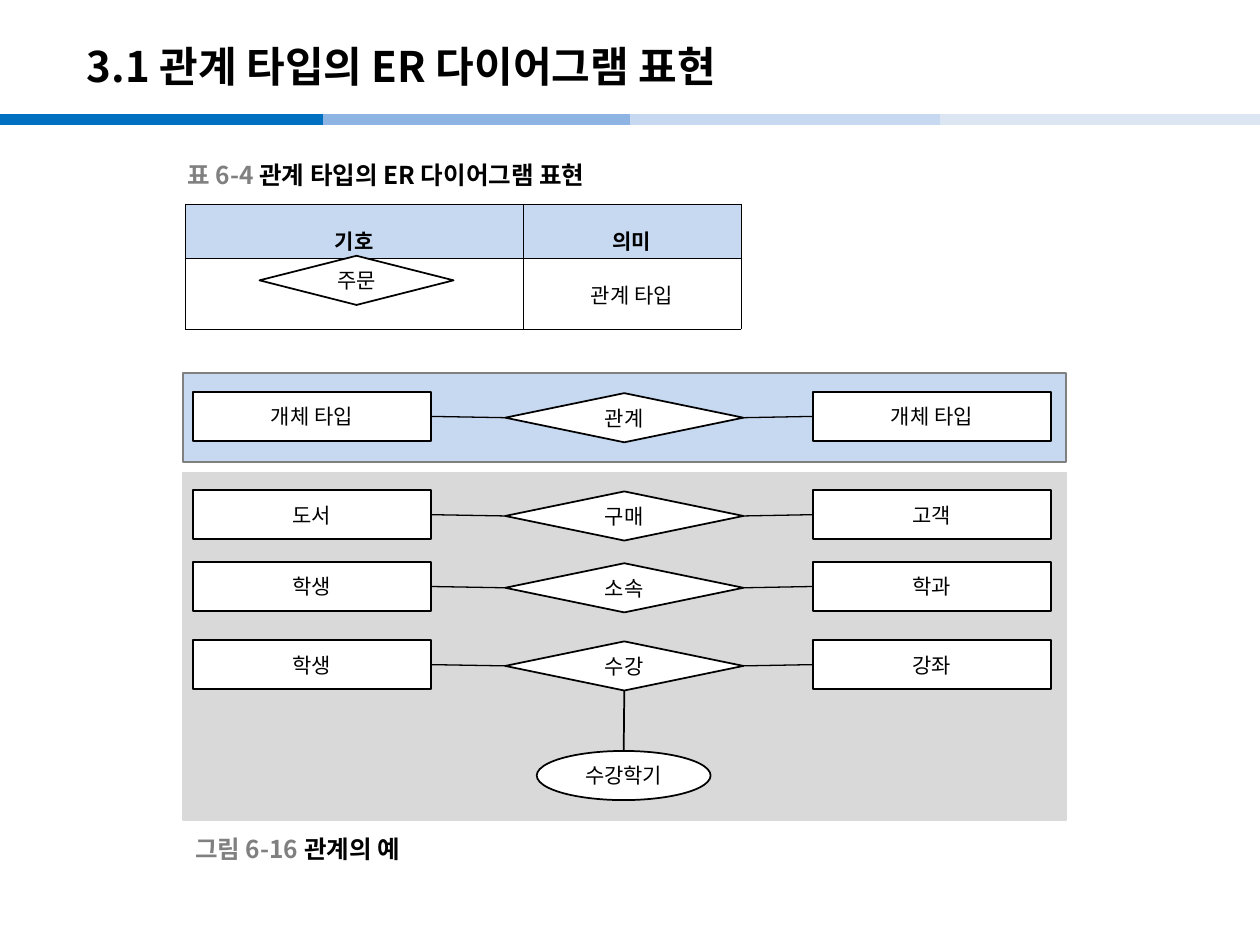
import itertools
import pptx
import pptx.util
import pptx.dml.color
import pptx.enum.shapes
import pptx.enum.text
import pptx.oxml.ns
from lxml import etree

Inches = pptx.util.Inches
Pt = pptx.util.Pt
KIND = pptx.enum.shapes.MSO_SHAPE
ALIGN = pptx.enum.text.PP_ALIGN
MIDDLE = pptx.enum.text.MSO_ANCHOR.MIDDLE
FACE = "Noto Sans CJK KR"
SIDE, HIGH = 1.89, 0.39


def color(code):
    """Turn a hex string into a colour."""
    return pptx.dml.color.RGBColor.from_string(code)


def child(parent, tag, **attrs):
    """Append a drawing element to its parent."""
    return etree.SubElement(parent, pptx.oxml.ns.qn(tag), **attrs)


def style(para, size, bold=False, align=ALIGN.LEFT, face=FACE):
    """Set the font and alignment of a paragraph."""
    para.alignment = align
    font = para.font
    font.size, font.bold, font.name = Pt(size), bold, face
    font.color.rgb = color("000000")
    child(para._p.pPr.find(pptx.oxml.ns.qn("a:defRPr")), "a:ea", typeface=FACE)


def add_box(slide, kind, left, top, width, height, fill="FFFFFF", edge="000000", text=""):
    """Add a filled shape with centred text."""
    shape = slide.shapes.add_shape(kind, Inches(left), Inches(top), Inches(width), Inches(height))
    shape.shadow.inherit = False
    shape.fill.solid()
    shape.fill.fore_color.rgb = color(fill)
    shape.line.color.rgb = color(edge)
    shape.line.width = Pt(1)
    if text:
        frame = shape.text_frame
        frame.margin_left = frame.margin_right = frame.margin_top = frame.margin_bottom = 0
        frame.vertical_anchor = MIDDLE
        frame.text = text
        style(frame.paragraphs[0], 12, align=ALIGN.CENTER)
    return shape


def add_line(slide, start, end, code="000000", width=0.75):
    """Add a straight line between two points."""
    line = slide.shapes.add_connector(
        pptx.enum.shapes.MSO_CONNECTOR.STRAIGHT, *(Inches(v) for v in (*start, *end)))
    line.line.color.rgb = color(code)
    line.line.width = Pt(width)
    child(line._element.spPr, "a:effectLst")
    return line


def join(slide, first, out, second, into, width=0.75):
    """Link the sides of two shapes."""
    line = add_line(slide, (0, 0), (1, 1), width=width)
    line.begin_connect(first, out)
    line.end_connect(second, into)


def add_title(slide, left, top, width, height, text):
    """Place and format the slide title."""
    title = slide.shapes.title
    title.left, title.top = Inches(left), Inches(top)
    title.width, title.height = Inches(width), Inches(height)
    title.text_frame.text = text
    title.text_frame.vertical_anchor = MIDDLE
    style(title.text_frame.paragraphs[0], 24, True)


def add_band(slide, y):
    """Draw the coloured rule below the title."""
    codes = ("0070C0", "8EB4E3", "C6D9F1", "DCE6F2")
    edges = itertools.pairwise((0, 2.56, 5, 7.46, 10))
    for code, (start, end) in zip(codes, edges):
        add_line(slide, (start, y), (end, y), code, 6)


def add_label(slide, left, top, width, mark, text):
    """Add a caption with a grey number."""
    box = slide.shapes.add_textbox(Inches(left), Inches(top), Inches(width), Inches(0.31))
    frame = box.text_frame
    frame.word_wrap = True
    frame.vertical_anchor = MIDDLE
    para = frame.paragraphs[0]
    style(para, 14, True)
    for part, code in ((mark + " ", "808080"), (text, "000000")):
        run = para.add_run()
        run.text = part
        run.font.color.rgb = color(code)


def fill_cell(cell, text, fill, bold, space):
    """Format one bordered table cell."""
    cell.margin_left = cell.margin_right = Inches(0.07)
    cell.margin_top = cell.margin_bottom = Inches(0.02)
    cell.vertical_anchor = MIDDLE
    props = cell._tc.get_or_add_tcPr()
    for edge in ("a:lnL", "a:lnR", "a:lnT", "a:lnB"):
        line = child(props, edge, w=str(Pt(0.28)))
        child(child(line, "a:solidFill"), "a:srgbClr", val="000000")
    cell.fill.solid()
    cell.fill.fore_color.rgb = color(fill)
    para = cell.text_frame.paragraphs[0]
    para.text = text
    para.line_spacing = space
    style(para, 12, bold, ALIGN.CENTER, "Arial")


def add_key(slide, left, top):
    """Build the table of symbols."""
    widths, heights = (2.68, 1.73), (0.43, 0.56)
    table = slide.shapes.add_table(
        2, 2, Inches(left), Inches(top), Inches(sum(widths)), Inches(sum(heights))).table
    for col, width in zip(table.columns, widths):
        col.width = Inches(width)
    for row, height in zip(table.rows, heights):
        row.height = Inches(height)
    rows = ((("기호", "의미"), "C6D9F1", True, 1.6),
            (("", "관계 타입"), "FFFFFF", False, Pt(18)))
    for row, (texts, *look) in zip(table.rows, rows):
        for cell, text in zip(row.cells, texts):
            fill_cell(cell, text, *look)
    add_box(slide, KIND.FLOWCHART_DECISION, left + 0.59, top + 0.41, 1.54, HIGH, text="주문")


def add_row(slide, left, top, names):
    """Link two entities through a relation and return the relation."""
    first, bond, last = names
    start = add_box(slide, KIND.RECTANGLE, left, top, SIDE, HIGH, text=first)
    node = add_box(slide, KIND.FLOWCHART_DECISION, left + 2.48, top + 0.01, SIDE, HIGH, text=bond)
    end = add_box(slide, KIND.RECTANGLE, left + 4.92, top, SIDE, HIGH, text=last)
    join(slide, node, 1, start, 3)
    join(slide, end, 1, node, 3)
    return node


def add_panel(slide, left, top, height, fill, edge, rows):
    """Draw a panel of relation rows and return the last relation."""
    add_box(slide, KIND.RECTANGLE, left, top, 7.01, height, fill, edge)
    for drop, names in rows:
        node = add_row(slide, left + 0.08, top + drop, names)
    return node


def main():
    """Build and save the slide."""
    deck = pptx.Presentation()
    deck.slide_width, deck.slide_height = Inches(10), Inches(7.5)
    slide = deck.slides.add_slide(deck.slide_layouts[5])
    add_band(slide, 0.95)
    add_title(slide, 0.59, 0.22, 8.27, 0.6, "3.1 관계 타입의 ER 다이어그램 표현")
    add_label(slide, 1.39, 1.23, 4.4, "표 6-4", "관계 타입의 ER 다이어그램 표현")
    add_key(slide, 1.47, 1.62)
    add_panel(slide, 1.45, 2.96, 0.71, "C6D9F1", "808080",
              [(0.15, ("개체 타입", "관계", "개체 타입"))])
    node = add_panel(slide, 1.45, 3.75, 2.76, "D9D9D9", "D9D9D9", [
        (0.14, ("도서", "구매", "고객")),
        (0.71, ("학생", "소속", "학과")),
        (1.33, ("학생", "수강", "강좌"))])
    term = add_box(slide, KIND.OVAL, 4.26, 5.96, 1.38, HIGH, text="수강학기")
    join(slide, node, 2, term, 0, 1)
    add_label(slide, 1.45, 6.58, 2.05, "그림 6-16", "관계의 예")
    deck.save("out.pptx")


if __name__ == "__main__":
    main()
